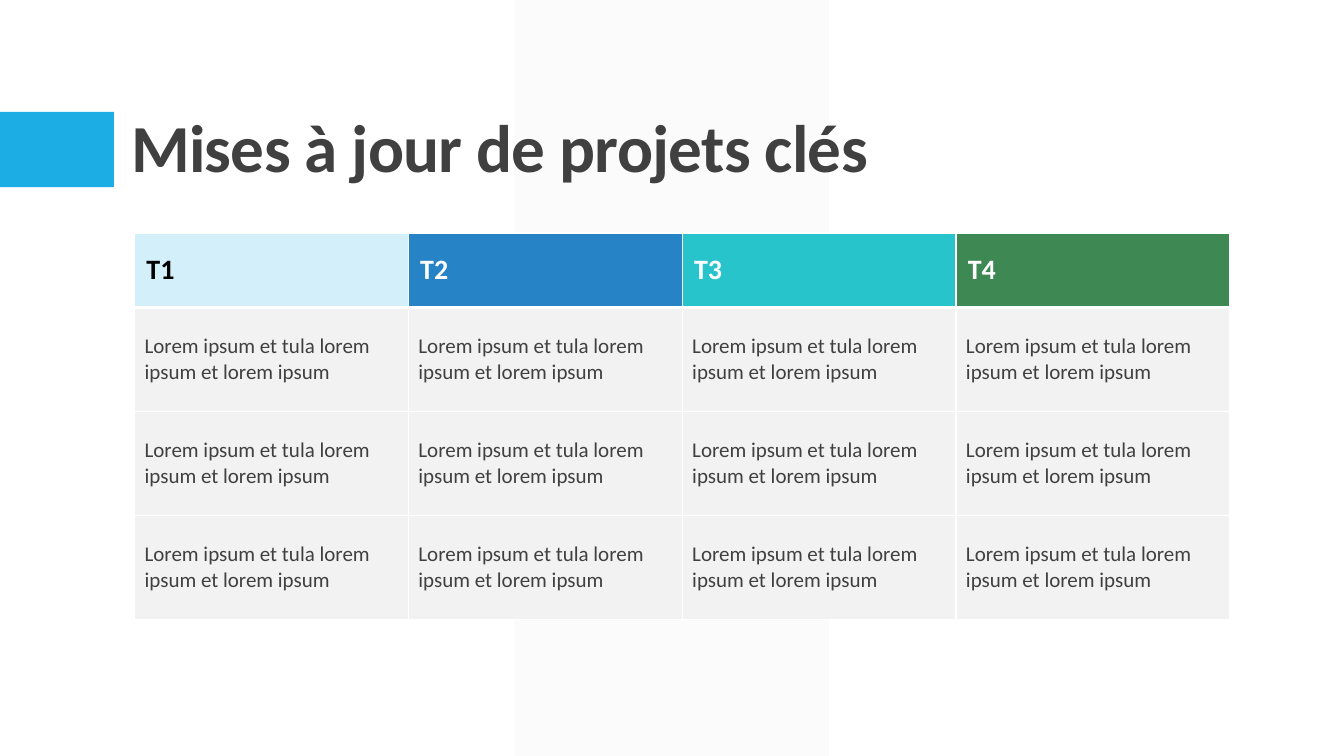
from lxml import etree
from pptx import Presentation
from pptx.dml.color import RGBColor
from pptx.enum import shapes, text
from pptx.oxml import ns
from pptx.util import Cm, Pt

FONT = "Calibri"
DARK, PALE, WHITE = "404040", "F2F2F2", "FFFFFF"
TITLE = "Mises à jour de projets clés"
QUARTERS = [  # label, fill, text colour
    ("T1", "D2EFFA", "000000"),
    ("T2", "2683C6", WHITE),
    ("T3", "28C4CC", WHITE),
    ("T4", "3E8853", WHITE),
]
UPDATES = [["Lorem ipsum et tula lorem ipsum et lorem ipsum"] * 4 for _ in range(3)]

SLIDE_WIDTH, SLIDE_HEIGHT = 33.87, 19.05
TABLE_LEFT, TABLE_TOP, COLUMN_WIDTH = 3.39, 5.87, 6.9
HEADER_HEIGHT, ROW_HEIGHT = 1.88, 2.62


def color(value):
    return RGBColor.from_string(value)


def style_text(frame, size, value, bold):
    for run in frame.paragraphs[0].runs:
        run.font.name = FONT
        run.font.size = Pt(size)
        run.font.bold = bold
        run.font.color.rgb = color(value)


def add_block(slide, left, top, width, height, fill):
    block = slide.shapes.add_shape(
        shapes.MSO_SHAPE.RECTANGLE, Cm(left), Cm(top), Cm(width), Cm(height))
    block.shadow.inherit = False
    block.fill.solid()
    block.fill.fore_color.rgb = color(fill)
    block.line.fill.background()
    return block


def set_alpha(shape, percent):
    fill_color = shape.fill._xPr.find(".//" + ns.qn("a:srgbClr"))
    etree.SubElement(fill_color, ns.qn("a:alpha"), val=str(percent * 1000))


def set_borders(cell, top, bottom):
    """Give the cell white borders; widths in points."""
    properties = cell._tc.get_or_add_tcPr()
    widths = {"lnL": 1, "lnR": 1, "lnT": top, "lnB": bottom}
    for index, (side, width) in enumerate(widths.items()):
        line = etree.Element(ns.qn("a:" + side), w=str(Pt(width)))
        fill = etree.SubElement(line, ns.qn("a:solidFill"))
        etree.SubElement(fill, ns.qn("a:srgbClr"), val=WHITE)
        properties.insert(index, line)


def fill_cell(cell, content, fill, size, value, bold):
    cell.text_frame.text = content
    style_text(cell.text_frame, size, value, bold)
    cell.vertical_anchor = text.MSO_ANCHOR.MIDDLE
    cell.fill.solid()
    cell.fill.fore_color.rgb = color(fill)


def add_title(slide):
    title = slide.shapes.title
    title.left, title.top, title.width, title.height = Cm(3.05), Cm(0.79), Cm(27.94), Cm(4.04)
    frame = title.text_frame
    frame.text = TITLE
    frame.word_wrap = True
    frame.auto_size = text.MSO_AUTO_SIZE.NONE
    frame.vertical_anchor = text.MSO_ANCHOR.BOTTOM
    paragraph = frame.paragraphs[0]
    paragraph.alignment = text.PP_ALIGN.LEFT
    paragraph.line_spacing = 0.9
    style_text(frame, 48, DARK, True)
    paragraph.runs[0].font._element.set("spc", "-50")
    slide.shapes._spTree.append(title._element)  # in front of the blocks


def add_updates_table(slide):
    columns, rows = len(QUARTERS), len(UPDATES)
    table = slide.shapes.add_table(
        rows + 1, columns, Cm(TABLE_LEFT), Cm(TABLE_TOP), Cm(columns * COLUMN_WIDTH),
        Cm(HEADER_HEIGHT + rows * ROW_HEIGHT)).table
    for column in table.columns:
        column.width = Cm(COLUMN_WIDTH)
    for index, row in enumerate(table.rows):
        row.height = Cm(ROW_HEIGHT if index else HEADER_HEIGHT)

    for index, (label, fill, value) in enumerate(QUARTERS):
        cell = table.cell(0, index)
        fill_cell(cell, label, fill, 20, value, True)
        cell.margin_left = cell.margin_right = Cm(0.3)
        cell.margin_top = cell.margin_bottom = Cm(0.15)
        set_borders(cell, 1, 3)
    for row, updates in enumerate(UPDATES, 1):
        for column, update in enumerate(updates):
            cell = table.cell(row, column)
            fill_cell(cell, update, PALE, 15, DARK, False)
            set_borders(cell, 3 if row == 1 else 1, 1)


def main():
    presentation = Presentation()
    presentation.slide_width, presentation.slide_height = Cm(SLIDE_WIDTH), Cm(SLIDE_HEIGHT)
    slide = presentation.slides.add_slide(presentation.slide_layouts[5])
    band = add_block(slide, 12.97, 0, 7.92, SLIDE_HEIGHT, PALE)
    set_alpha(band, 30)
    add_block(slide, 0, 2.82, 2.87, 1.9, "1CADE4")
    add_title(slide)
    add_updates_table(slide)
    presentation.save("out.pptx")


if __name__ == "__main__":
    main()
